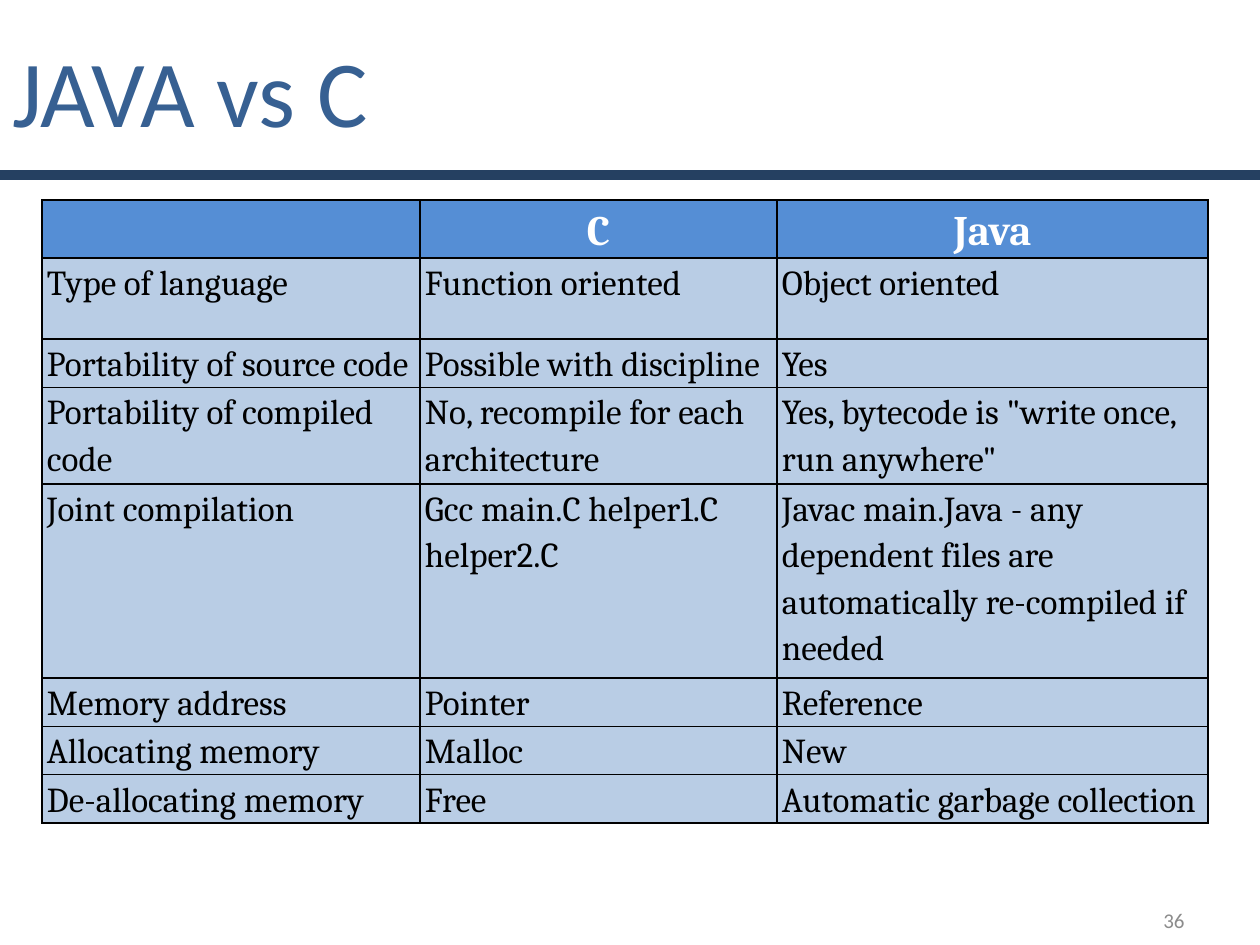
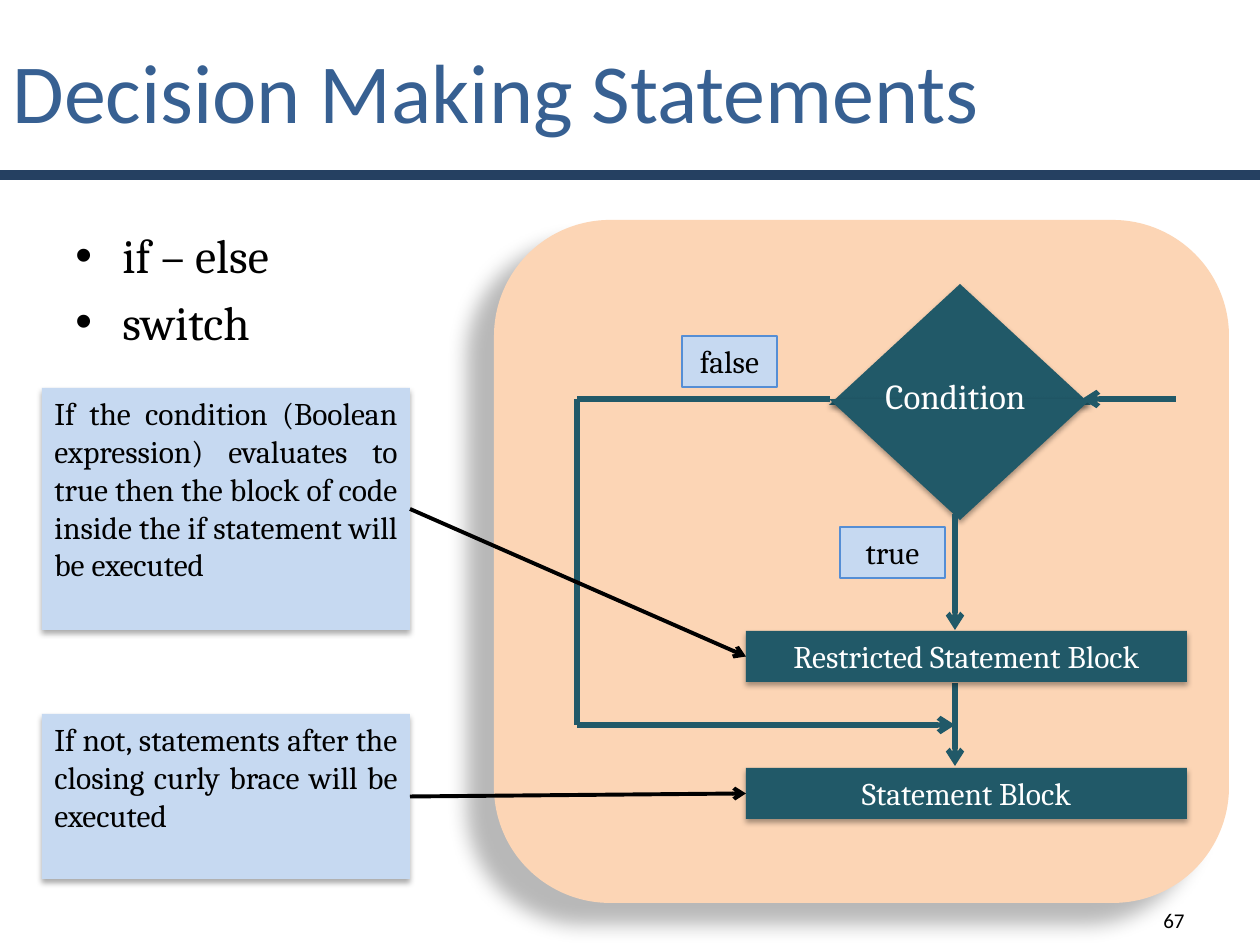
"""Builds two Java lecture slides: a comparison with C and a decision flowchart."""
from lxml import etree
from pptx import Presentation
from pptx.dml.color import RGBColor
from pptx.enum.shapes import MSO_CONNECTOR, MSO_SHAPE
from pptx.enum.text import MSO_ANCHOR, PP_ALIGN
from pptx.oxml.ns import qn
from pptx.util import Emu, Pt

RECTANGLE, ROUNDED = MSO_SHAPE.RECTANGLE, MSO_SHAPE.ROUNDED_RECTANGLE
TRIANGLE, STRAIGHT = MSO_SHAPE.ISOSCELES_TRIANGLE, MSO_CONNECTOR.STRAIGHT
TOP, MIDDLE = MSO_ANCHOR.TOP, MSO_ANCHOR.MIDDLE
LEFT, CENTER, RIGHT, JUSTIFY = PP_ALIGN.LEFT, PP_ALIGN.CENTER, PP_ALIGN.RIGHT, PP_ALIGN.JUSTIFY
LEFT_SIDE, RIGHT_SIDE = 1, 3

EMU_PER_PIXEL = 914400 / 126
SLIDE_WIDTH, SLIDE_HEIGHT = 1260, 945
TITLE_FONT, BODY_FONT = "Calibri", "Cambria"
COLORS = {
    "navy": "254061", "title": "376092", "gray": "8C8C8C", "black": "000000",
    "white": "FFFFFF", "header": "558ED5", "cell": "B9CDE5", "peach": "FCD5B5",
    "teal": "215968", "pale": "C6D9F1",
}
PANEL_SHADOW = {"alpha": 28, "blur": 11.8, "distance": 19.7, "angle": 141}
FLOW_SHADOW = {"alpha": 35, "blur": 3.1, "distance": 1.8, "angle": 90}
CALLOUT_SHADOW = {"alpha": 32, "blur": 3.5, "distance": 2.2, "angle": 90}

COMPARISON = [
    ("", "C", "Java"),
    ("Type of language", "Function oriented", "Object oriented"),
    ("Portability of source code", "Possible with discipline", "Yes"),
    ("Portability of compiled code", "No, recompile for each architecture",
     'Yes, bytecode is "write once, run anywhere"'),
    ("Joint compilation", "Gcc main.C helper1.C helper2.C",
     "Javac main.Java - any dependent files are automatically re-compiled if needed"),
    ("Memory address", "Pointer", "Reference"),
    ("Allocating memory", "Malloc", "New"),
    ("De-allocating memory", "Free", "Automatic garbage collection"),
]
COLUMN_WIDTHS = [378, 357, 431]
ROW_HEIGHTS = [58, 81, 48, 96, 194, 48, 48, 48]

STATEMENTS = ["if – else", "switch"]
BRANCH_LABELS = [("false", (682, 336, 95, 51)), ("true", (840, 527, 105, 51))]
EXPLANATIONS = [
    ("If the condition (Boolean expression) evaluates to true then the block of code "
     "inside the if statement will be executed", (42, 388, 368, 242),
     "Restricted Statement Block", 631),
    ("If not, statements after the closing curly brace will be executed",
     (42, 714, 368, 165), "Statement Block", 768),
]
FLOW_X, FALSE_X, CONDITION_Y, MERGE_Y = 955, 577, 399, 725
FLOW_LINES = [
    ((830, CONDITION_Y), (FALSE_X, CONDITION_Y), False),
    ((FALSE_X, CONDITION_Y), (FALSE_X, MERGE_Y), False),
    ((FLOW_X, 514), (FLOW_X, 630), True),
    ((FLOW_X, 683), (FLOW_X, 766), True),
    ((FALSE_X, MERGE_Y), (FLOW_X, MERGE_Y), True),
    ((1176, CONDITION_Y), (1082, CONDITION_Y), True),
]


def px(*lengths):
    return [Emu(round(length * EMU_PER_PIXEL)) for length in lengths]


def color(name):
    return RGBColor.from_string(COLORS[name])


def add_run(paragraph, text, size, tint, font=BODY_FONT, bold=False):
    run = paragraph.add_run()
    run.text = text
    run.font.name, run.font.size, run.font.bold = font, Pt(size), bold
    run.font.color.rgb = color(tint)


def write(shape, text, size, tint, align=LEFT, anchor=TOP, font=BODY_FONT):
    frame = shape.text_frame
    frame.word_wrap = True
    frame.vertical_anchor = anchor
    paragraph = frame.paragraphs[0]
    paragraph.alignment = align
    add_run(paragraph, text, size, tint, font)


def add_text(slide, box, *content, **style):
    write(slide.shapes.add_textbox(*px(*box)), *content, **style)


def add_block(slide, kind, box, fill, line=None, line_width=0.75, shadow=None):
    shape = slide.shapes.add_shape(kind, *px(*box))
    shape.fill.solid()
    shape.fill.fore_color.rgb = color(fill)
    if line:
        shape.line.color.rgb = color(line)
        shape.line.width = Pt(line_width)
    else:
        shape.line.fill.background()
    shape.shadow.inherit = False
    if shadow:
        effects = shape.element.spPr.find(qn("a:effectLst"))
        outer = etree.SubElement(
            effects, qn("a:outerShdw"), blurRad=str(Pt(shadow["blur"])),
            dist=str(Pt(shadow["distance"])), dir=str(shadow["angle"] * 60000),
            algn="ctr", rotWithShape="0")
        tint = etree.SubElement(outer, qn("a:srgbClr"), val=COLORS["black"])
        etree.SubElement(tint, qn("a:alpha"), val=str(shadow["alpha"] * 1000))
    return shape


def add_line(slide, start, end, tint, width, arrow=True):
    connector = slide.shapes.add_connector(STRAIGHT, *px(*start, *end))
    connector.line.color.rgb = color(tint)
    connector.line.width = Pt(width)
    properties = connector.element.spPr
    if arrow:
        etree.SubElement(properties.find(qn("a:ln")), qn("a:tailEnd"), type="arrow")
    etree.SubElement(properties, qn("a:effectLst"))
    return connector


def add_base_slide(presentation, title, title_size, title_width, number, number_color):
    slide = presentation.slides.add_slide(presentation.slide_layouts[6])
    add_block(slide, RECTANGLE, (0, 172, SLIDE_WIDTH, 6), "navy", "navy", 2)
    add_text(slide, (0, 0, title_width, 179), title, title_size, "title",
             anchor=MIDDLE, font=TITLE_FONT)
    add_text(slide, (903, 895, 294, 50), number, 12, number_color, RIGHT, MIDDLE,
             font=TITLE_FONT)
    return slide


def add_borders(cell):
    properties = cell._tc.get_or_add_tcPr()
    for index, side in enumerate(("lnL", "lnR", "lnT", "lnB")):
        border = etree.Element(qn("a:" + side), w=str(Pt(1)))
        fill = etree.SubElement(border, qn("a:solidFill"))
        etree.SubElement(fill, qn("a:srgbClr"), val=COLORS["black"])
        properties.insert(index, border)


def fill_cell(cell, text, is_header):
    cell.margin_left = cell.margin_right = px(5)[0]
    cell.margin_top = cell.margin_bottom = 0
    cell.fill.solid()
    cell.fill.fore_color.rgb = color("header" if is_header else "cell")
    add_borders(cell)
    paragraph = cell.text_frame.paragraphs[0]
    paragraph.line_spacing = 1.15
    paragraph.alignment = CENTER if is_header else LEFT
    if text:
        add_run(paragraph, text, 24 if is_header else 20,
                "white" if is_header else "black", bold=is_header)


def build_comparison(presentation):
    slide = add_base_slide(presentation, "JAVA vs C", 54, 987, "36", "gray")
    box = px(42, 200, sum(COLUMN_WIDTHS), sum(ROW_HEIGHTS))
    table = slide.shapes.add_table(len(ROW_HEIGHTS), len(COLUMN_WIDTHS), *box).table
    table.horz_banding = False
    for column, width in zip(table.columns, px(*COLUMN_WIDTHS)):
        column.width = width
    for row, height in zip(table.rows, px(*ROW_HEIGHTS)):
        row.height = height
    for row_index, texts in enumerate(COMPARISON):
        for column_index, text in enumerate(texts):
            fill_cell(table.cell(row_index, column_index), text, row_index == 0)


def add_bullets(slide, box, items, size):
    frame = slide.shapes.add_textbox(*px(*box)).text_frame
    frame.word_wrap = True
    indent = px(47)[0]
    for index, item in enumerate(items):
        paragraph = frame.add_paragraph() if index else frame.paragraphs[0]
        properties = paragraph._p.get_or_add_pPr()
        properties.set("marL", str(indent))
        properties.set("indent", str(-indent))
        etree.SubElement(properties, qn("a:buFont"), typeface="Arial")
        etree.SubElement(properties, qn("a:buChar"), char="•")
        if index:
            paragraph.space_before = Pt(size * 0.2)
        add_run(paragraph, item, size, "black")


def build_decision(presentation):
    slide = add_base_slide(presentation, "Decision Making Statements", 48, 1081, "67", "black")
    add_bullets(slide, (63, 220, 462, 126), STATEMENTS, 27.2)
    panel = add_block(slide, ROUNDED, (494, 220, 735, 683), "peach", shadow=PANEL_SHADOW)
    panel.adjustments[0] = 0.17
    for top, rotation in ((284, 0), (CONDITION_Y, 180)):
        half = add_block(slide, TRIANGLE, (829, top, 262, 121), "teal", shadow=FLOW_SHADOW)
        half.rotation = rotation
    add_text(slide, (861, 368, 189, 55), "Condition", 20, "white", CENTER)
    for start, end, arrow in FLOW_LINES:
        add_line(slide, start, end, "teal", 3, arrow)
    for label, box in BRANCH_LABELS:
        shape = add_block(slide, RECTANGLE, box, "pale", "header")
        write(shape, label, 18, "black", CENTER)
    for explanation, box, statement, top in EXPLANATIONS:
        block = add_block(slide, RECTANGLE, (746, top, 441, 51), "teal", shadow=FLOW_SHADOW)
        write(block, statement, 18, "white", CENTER)
        callout = add_block(slide, RECTANGLE, box, "pale", shadow=CALLOUT_SHADOW)
        write(callout, explanation, 18, "black", JUSTIFY)
        pointer = add_line(slide, (0, 0), (0, 0), "black", 2.25)
        pointer.begin_connect(callout, RIGHT_SIDE)
        pointer.end_connect(block, LEFT_SIDE)


def main():
    presentation = Presentation()
    presentation.slide_width, presentation.slide_height = px(SLIDE_WIDTH, SLIDE_HEIGHT)
    build_comparison(presentation)
    build_decision(presentation)
    presentation.save("out.pptx")


if __name__ == "__main__":
    main()
